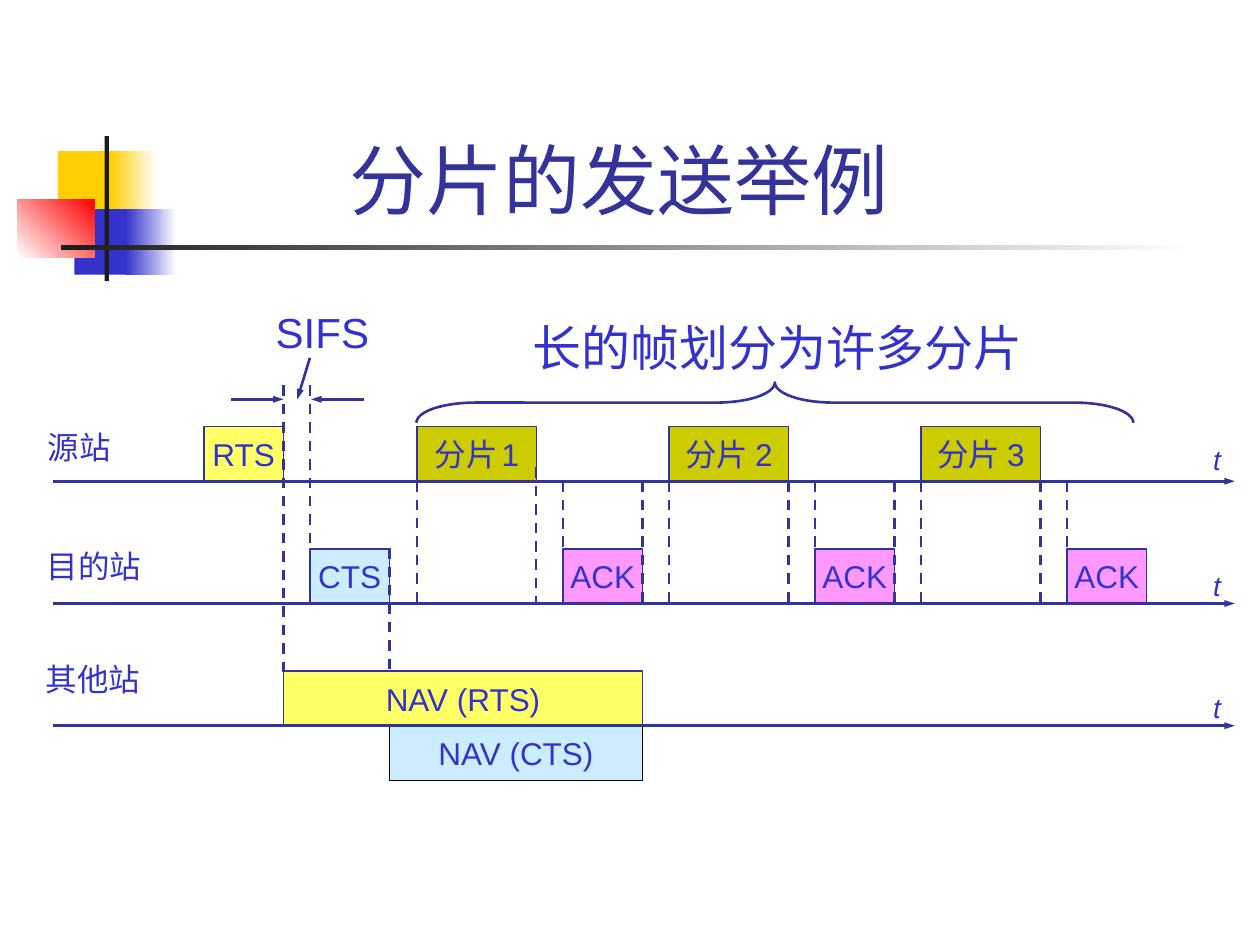
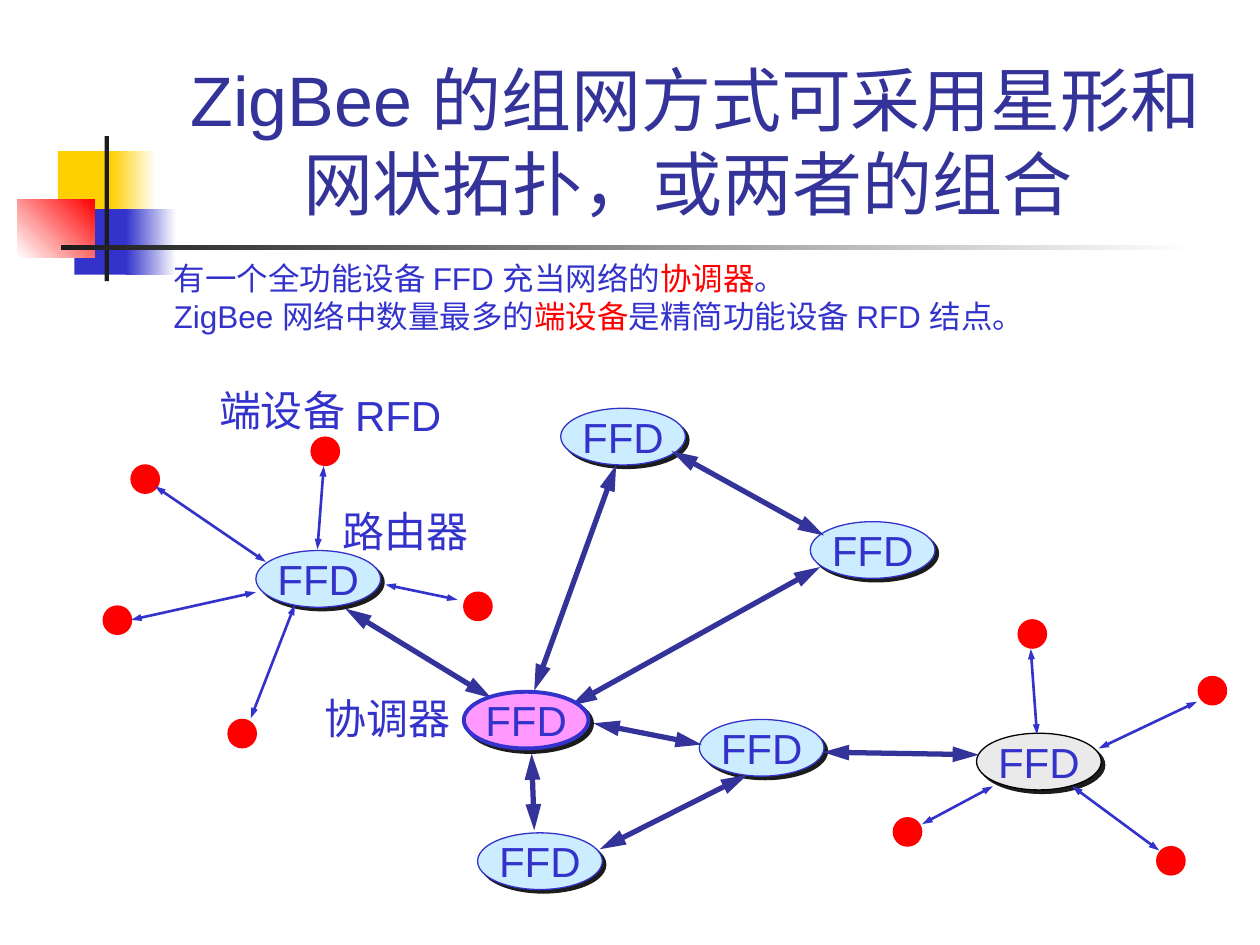
"""Two slides: sending a frame in fragments, and ZigBee star and mesh networking."""
from lxml import etree
from pptx import Presentation
from pptx.dml.color import RGBColor
from pptx.enum.dml import MSO_LINE
from pptx.enum.shapes import MSO_CONNECTOR, MSO_SHAPE
from pptx.enum.text import MSO_ANCHOR, MSO_AUTO_SIZE, PP_ALIGN
from pptx.oxml.ns import qn
from pptx.util import Pt

RECT, OVAL, BRACE = MSO_SHAPE.RECTANGLE, MSO_SHAPE.OVAL, MSO_SHAPE.RIGHT_BRACE
LEFT, CENTER = PP_ALIGN.LEFT, PP_ALIGN.CENTER
STRAIGHT, DASH = MSO_CONNECTOR.STRAIGHT, MSO_LINE.DASH
MIDDLE, BOTTOM = MSO_ANCHOR.MIDDLE, MSO_ANCHOR.BOTTOM
FIT = MSO_AUTO_SIZE.SHAPE_TO_FIT_TEXT

NAVY = RGBColor(0x33, 0x33, 0x99)
BLUE = RGBColor(0x33, 0x33, 0xCC)
GOLD = RGBColor(0xFF, 0xCF, 0x01)
RED = RGBColor(0xFF, 0x00, 0x00)
INK = RGBColor(0x1C, 0x1C, 0x1C)
BLACK = RGBColor(0x00, 0x00, 0x00)
WHITE = RGBColor(0xFF, 0xFF, 0xFF)
YELLOW = RGBColor(0xFF, 0xFF, 0x66)
SKY = RGBColor(0xCC, 0xEC, 0xFF)
OLIVE = RGBColor(0xCC, 0xCC, 0x00)
PINK = RGBColor(0xFF, 0x99, 0xFF)
GREY = RGBColor(0xEA, 0xEA, 0xEA)
FONT = "Arial"


def add_box(slide, kind, box, text="", size=18, fill=None, line=None, weight=0.75,
            color=BLUE, align=CENTER):
    """Add a shape, or a text box when kind is None; "|" parts runs, newline parts paragraphs."""
    bounds = [Pt(length) for length in box]
    if kind is None:
        shape = slide.shapes.add_textbox(*bounds)
        shape.text_frame.auto_size = FIT
    else:
        shape = slide.shapes.add_shape(kind, *bounds)
        shape.shadow.inherit = False
        shape.text_frame.vertical_anchor = MIDDLE
        if fill is None:
            shape.fill.background()
        else:
            shape.fill.solid()
            shape.fill.fore_color.rgb = fill
        if line is None:
            shape.line.fill.background()
        else:
            shape.line.color.rgb = line
            shape.line.width = Pt(weight)
    if text:
        frame = shape.text_frame
        frame.word_wrap = False
        for number, content in enumerate(text.split("\n")):
            paragraph = frame.add_paragraph() if number else frame.paragraphs[0]
            paragraph.alignment = align
            paragraph.font.name = FONT
            paragraph.font.size = Pt(size)
            paragraph.font.color.rgb = color
            for part in content.split("|"):
                paragraph.add_run().text = part
    return shape


def add_line(slide, ends, color=NAVY, weight=1.5, dash=None, heads=()):
    """Add a straight line, with arrowheads at the named ends."""
    line = slide.shapes.add_connector(STRAIGHT, *[Pt(length) for length in ends])
    line.line.color.rgb = color
    line.line.width = Pt(weight)
    if dash:
        line.line.dash_style = dash
    properties = line.element.spPr
    outline = properties.find(qn("a:ln"))
    width, length = ("med", "lg") if weight > 2 else ("sm", "med")
    for head in heads:
        etree.SubElement(outline, qn(f"a:{head}"), type="triangle", w=width, len=length)
    etree.SubElement(properties, qn("a:effectLst"))


TO = ("tailEnd",)
BOTH = ("headEnd", "tailEnd")

prs = Presentation()
prs.slide_width, prs.slide_height = Pt(720), Pt(540)

ORNAMENTS = [
    ((33.1, 86.4, 34.6, 37.4), (GOLD,), 0),
    ((63.4, 86.4, 25.9, 37.4), (GOLD, WHITE), 0),
    ((42.5, 119.5, 33.1, 37.4), (BLUE,), 0),
    ((72, 119.5, 28.8, 37.4), (BLUE, WHITE), 0),
    ((10, 113.8, 44, 33.1), (WHITE, RED), 45),
    ((59.8, 77.8, 2.5, 82.8), (INK,), 0),
    ((34.6, 140.2, 648, 2.5), (INK, WHITE), 0),
]
TITLES = [
    ("分片的发送举例 ", 44, 535.7),
    ("ZigBee 的组网方式可采用星形和网状拓扑，或两者的组合 ", 40, 613.4),
]
slides = []
for heading, heading_size, heading_width in TITLES:
    slide = prs.slides.add_slide(prs.slide_layouts[6])
    for box, colors, angle in ORNAMENTS:
        ornament = add_box(slide, RECT, box, fill=colors[0])
        if len(colors) == 2:
            ornament.fill.gradient()
            ornament.fill.gradient_angle = angle
            for stop, color in zip(ornament.fill.gradient_stops, colors):
                stop.color.rgb = color
    title = add_box(slide, None, (90.7, 16.6, heading_width, 115.2), heading, heading_size, color=NAVY)
    title.text_frame.auto_size = MSO_AUTO_SIZE.NONE
    title.text_frame.word_wrap = True
    title.text_frame.vertical_anchor = BOTTOM
    slides.append(slide)
timing, network = slides

SOURCE, DESTINATION, OTHERS = 275, 344.9, 414.7
PERIOD, BLOCK_HEIGHT = 144, 31.2
FRAGMENT_X, FRAGMENT_WIDTH = 238.3, 68.4
ACK_X, CONTROL_WIDTH = 321.8, 45.4
RTS_END, CTS_X, CTS_END, ACK_END = 162, 177.1, 222.5, 367.2

for top in (249.1, 321.1, 391):
    axis_label = add_box(timing, None, (686.2, top, 19.4, 26.6), "t", 16, align=LEFT)
    axis_label.text_frame.paragraphs[0].font.italic = True
for station, left, top, width in [("源站", 20.2, 241.2, 50.4), ("目的站", 19.4, 308.9, 68.4),
                                  (" 其他站", 14.4, 373.7, 73.4)]:
    add_box(timing, None, (left, top, width, 28.8), station)

blocks = [
    ("RTS", 116.6, SOURCE, CONTROL_WIDTH, YELLOW, NAVY),
    ("CTS", CTS_X, DESTINATION, CONTROL_WIDTH, SKY, NAVY),
    ("NAV (RTS)", RTS_END, OTHERS, ACK_END - RTS_END, YELLOW, NAVY),
    ("NAV (CTS)", CTS_END, OTHERS + BLOCK_HEIGHT, ACK_END - CTS_END, SKY, BLACK),
]
for index, fragment in enumerate(("分片| |1", "分片 2", "分片 3")):
    shift = index * PERIOD
    blocks.append((fragment, FRAGMENT_X + shift, SOURCE, FRAGMENT_WIDTH, OLIVE, NAVY))
    blocks.append(("ACK", ACK_X + shift, DESTINATION, CONTROL_WIDTH, PINK, NAVY))
for label, left, bottom, width, fill, line in blocks:
    block = add_box(timing, RECT, (left, bottom - BLOCK_HEIGHT, width, BLOCK_HEIGHT), label,
                    fill=fill, line=line)
    if "|" in label:
        block.text_frame.paragraphs[0].runs[1].font.size = Pt(10)

guides = [
    (RTS_END, 220.3, 383.8),
    (CTS_X, 220.3, DESTINATION),
    (CTS_END, 313.2, 383.8),
    (FRAGMENT_X, 243.4, DESTINATION),
    (306.3, 267.1, DESTINATION),
    (ACK_X, SOURCE, DESTINATION),
]
for shift in (0, PERIOD):
    for x in (ACK_END, FRAGMENT_X + PERIOD, FRAGMENT_X + FRAGMENT_WIDTH + PERIOD, ACK_X + PERIOD):
        guides.append((x + shift, SOURCE, DESTINATION))
for x, top, bottom in guides:
    add_line(timing, (x, top, x, bottom), dash=DASH)

for ends in [(131.8, 228.2, RTS_END, 228.2), (208.1, 228.2, 177.8, 228.2), (177.1, 204.5, 169.9, 228.2)]:
    add_line(timing, ends, heads=TO)
add_box(timing, None, (150.5, 171.4, 67.7, 36), "SIFS", 24, align=LEFT)
brace = add_box(timing, BRACE, (431.3, 25.2, 23, 409.7), line=NAVY, weight=1.5)
brace.rotation = 270
brace.adjustments[0] = 1.462
brace.adjustments[1] = 0.5
add_box(timing, None, (297.4, 177.8, 294.5, 41), "长的帧划分为许多分片", 28, align=LEFT)
for y in (OTHERS, DESTINATION, SOURCE):
    add_line(timing, (30.2, y, 705.6, y), heads=TO)

END_DEVICES = [(177.8, 249.8), (661, 483.8), (510.5, 467.3), (684.7, 386.6), (581.8, 354.2),
               (74.9, 265.7), (59, 346.3), (130.3, 411.1), (265, 338.4)]
for left, top in END_DEVICES:
    add_box(network, OVAL, (left, top, 16.2, 16.2), fill=RED, line=RED)

MESH_LINKS = [
    (352.1, 265.7, 305.3, 394.6), (197.3, 347.8, 280.8, 398.9), (383.8, 257.8, 470.9, 306),
    (468.7, 324, 326.2, 403.2), (303.8, 430.6, 305.3, 474.5), (401, 425.5, 339.1, 413.3),
    (559.4, 431.3, 470.2, 429.8), (427, 442.8, 342.7, 485.3),
]
STAR_LINKS = [
    (88.6, 277.9, 151.9, 321.1), (220.3, 334.1, 261.4, 342.7), (185, 266.4, 181.4, 313.9),
    (74.9, 354.2, 146.2, 338.4), (684, 401, 627.8, 427.7), (589, 370.8, 592.6, 419.8),
    (168.5, 345.6, 143.3, 410.4), (612.7, 449.3, 662.4, 486), (567.4, 449.3, 527, 470.9),
]
ROUTERS = [(146.2, 314.6, SKY, BLUE, 0.75), (272.9, 475.9, SKY, BLUE, 0.75),
           (463, 298.1, SKY, BLUE, 0.75), (320.4, 233.3, SKY, BLUE, 0.75),
           (399.6, 411.1, SKY, BLUE, 0.75), (558, 419, GREY, BLACK, 0.75)]
COORDINATOR = (265, 395.3, PINK, BLUE, 2.25)
for node in ROUTERS + [COORDINATOR]:
    if node == COORDINATOR:
        for ends in MESH_LINKS:
            add_line(network, ends, weight=3, heads=BOTH)
        for ends in STAR_LINKS:
            add_line(network, ends, color=BLUE, heads=BOTH)
    left, top, fill, line, weight = node
    device = add_box(network, OVAL, (left, top, 71.3, 32.4), "FFD", 24, fill, line, weight)
    effects = device.element.spPr.find(qn("a:effectLst"))
    shadow = etree.SubElement(effects, qn("a:outerShdw"), dist=str(Pt(2.8)), dir="2700000",
                              algn="ctr", rotWithShape="0")
    etree.SubElement(shadow, qn("a:srgbClr"), val=str(INK))

for role, left, top, width in [("RFD", 195.8, 218.9, 64.1), ("端设备", 118.1, 216, 86.4),
                               ("路由器", 188.6, 285.1, 86.4), ("协调器", 178.6, 392.4, 86.4)]:
    add_box(network, None, (left, top, width, 36), role, 24, align=LEFT)
summary = add_box(network, None, (92.2, 144.7, 561.6, 55.4),
                  "有一个全功能设备 FFD 充当网络的|协调器|。\n"
                  "ZigBee 网络中数量最多的|端设备|是精简功能设备 RFD 结点。", align=LEFT)
for paragraph in summary.text_frame.paragraphs:
    paragraph.runs[1].font.color.rgb = RED

prs.save("out.pptx")
